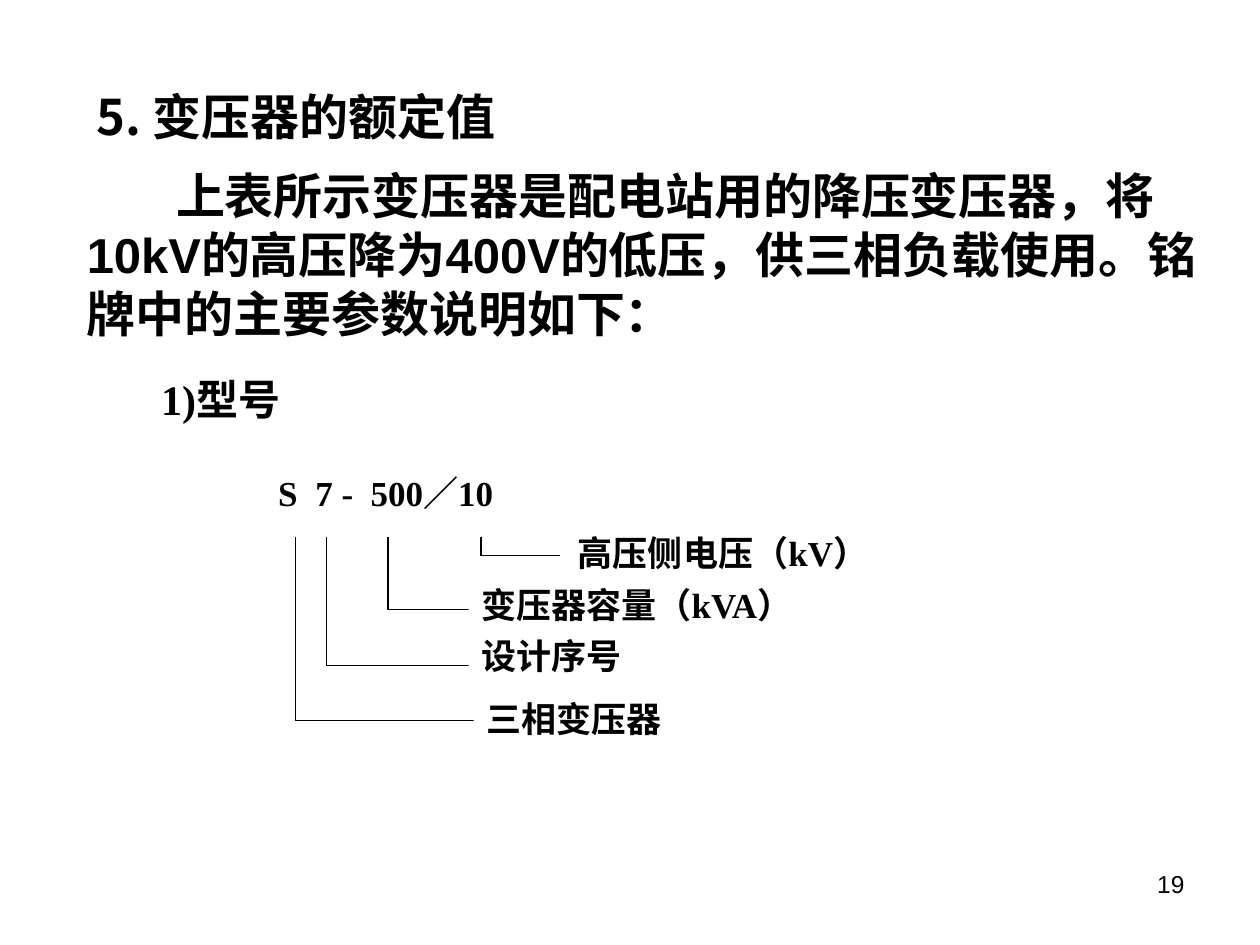
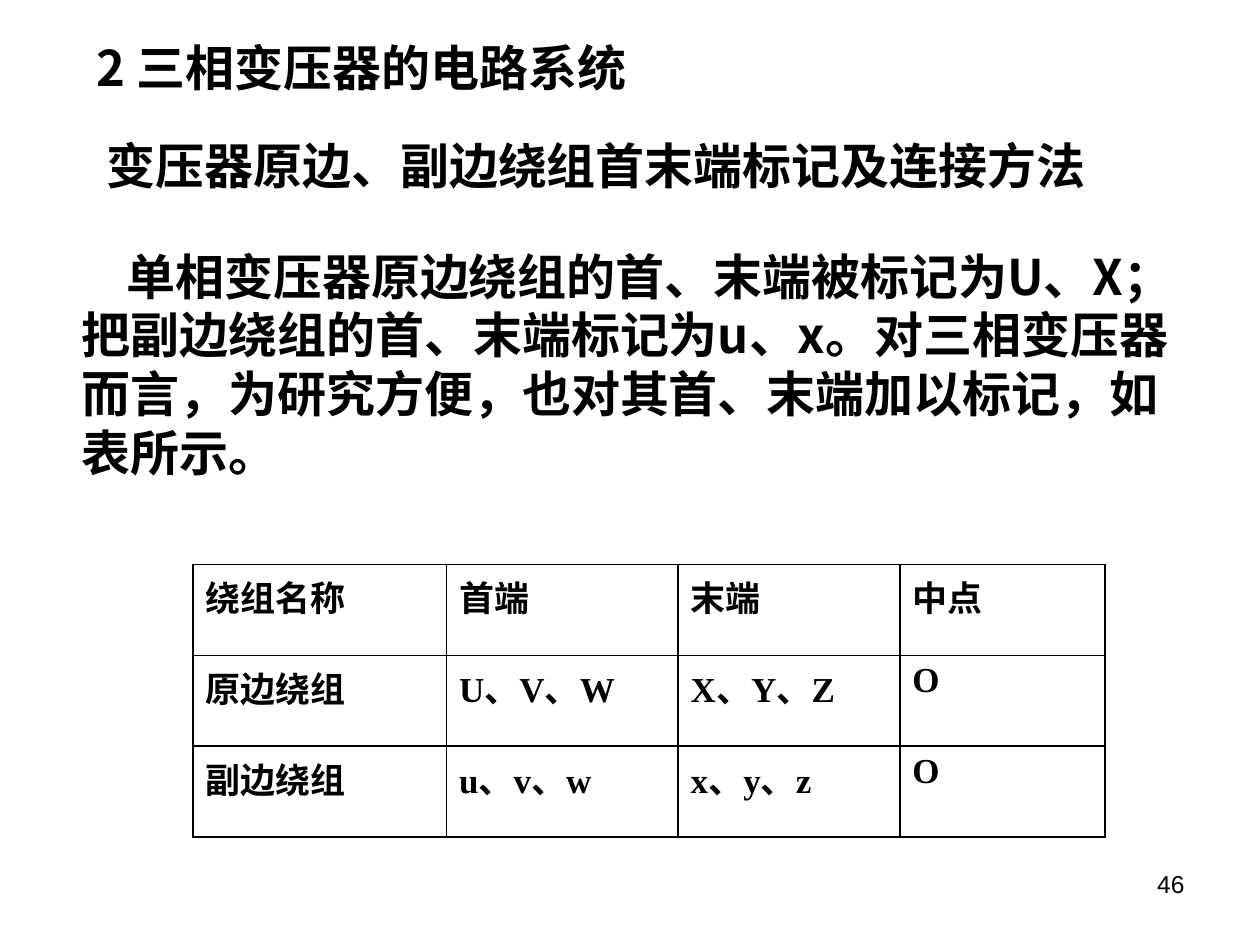
"""Build two slides on transformer ratings and winding terminal marks."""
from dataclasses import dataclass

from lxml import etree
from pptx import Presentation, util as u
from pptx.dml.color import RGBColor
from pptx.enum import lang, shapes, text
from pptx.oxml.ns import qn


@dataclass(frozen=True)
class Theme:
    ink: RGBColor = RGBColor(0, 0, 0)
    paper: RGBColor = RGBColor(255, 255, 255)
    cjk: str = "Noto Sans CJK SC"
    sans: str = "Arial"
    serif: str = "Times New Roman"
    heading: int = 28
    item: int = 24
    label: int = 20
    page: int = 14
    leading: float = 1.2
    drop: float = 0.09
    rule: float = 0.75
    border: float = 1


T = Theme()


@dataclass(frozen=True)
class Box:
    words: str
    left: float
    top: float
    width: float
    height: float
    size: int = T.heading
    font: str = T.cjk
    bold: bool = True
    filled: bool = False
    inset: float = 0.25
    indent: float = 0
    align: text.PP_ALIGN = text.PP_ALIGN.LEFT
    anchor: text.MSO_ANCHOR = text.MSO_ANCHOR.TOP
    tabs: tuple[float, ...] = ()


@dataclass(frozen=True)
class Branch:
    x: float
    y: float
    label: Box


def add_run(p, words: str, size: int, font: str, bold: bool = True) -> None:
    r = p.add_run()
    r.text = words
    r.font.size = u.Pt(size)
    r.font.bold = bold
    r.font.name = font
    r.font.color.rgb = T.ink
    r.font.language_id = lang.MSO_LANGUAGE_ID.SIMPLIFIED_CHINESE
    etree.SubElement(r.font._element, qn("a:ea"), typeface=T.cjk)


def fill_box(sp, box: Box) -> None:
    sp.left, sp.top = u.Cm(box.left), u.Cm(box.top)
    sp.width, sp.height = u.Cm(box.width), u.Cm(box.height)
    if box.filled:
        sp.fill.solid()
        sp.fill.fore_color.rgb = T.paper
    tf = sp.text_frame
    tf.word_wrap = True
    tf.auto_size = text.MSO_AUTO_SIZE.NONE
    tf.vertical_anchor = box.anchor
    drop = u.Pt(box.size * T.drop)
    tf.margin_left, tf.margin_right = u.Cm(box.inset), u.Cm(0.25)
    tf.margin_top, tf.margin_bottom = u.Cm(0.13) + drop, u.Cm(0.13) - drop
    p = tf.paragraphs[0]
    p.alignment = box.align
    p.line_spacing = u.Pt(box.size * T.leading)
    p.space_before = u.Pt(0)
    pPr = p._p.get_or_add_pPr()
    if box.indent:
        pPr.set("indent", str(u.Cm(box.indent)))
    if box.tabs:
        stops = etree.SubElement(pPr, qn("a:tabLst"))
        for pos in box.tabs:
            etree.SubElement(stops, qn("a:tab"), pos=str(u.Cm(pos)), algn="l")
    add_run(p, box.words, box.size, box.font, box.bold)


def add_box(s, box: Box) -> None:
    fill_box(s.shapes.add_textbox(0, 0, 0, 0), box)


def add_line(s, x1: float, y1: float, x2: float, y2: float) -> None:
    line = s.shapes.add_connector(
        shapes.MSO_CONNECTOR.STRAIGHT, u.Cm(x1), u.Cm(y1), u.Cm(x2), u.Cm(y2))
    line.line.color.rgb = T.ink
    line.line.width = u.Pt(T.rule)
    etree.SubElement(line._element.spPr, qn("a:effectLst"))


def add_slide(prs, title: Box, page: str):
    s = prs.slides.add_slide(prs.slide_layouts[5])
    fill_box(s.shapes.title, title)
    add_box(s, Box(page, 18.21, 17.35, 5.92, 1.32, T.page, T.sans, False,
                   align=text.PP_ALIGN.RIGHT))
    return s


def add_branches(s, branches: list[Branch], top: float, end: float) -> None:
    for b in branches:
        add_line(s, b.x, top, b.x, b.y)
        add_line(s, b.x, b.y, end, b.y)
    for b in branches:
        add_box(s, b.label)


def label(words: str, left: float, top: float, width: float = 7.49) -> Box:
    return Box(words, left, top, width, 1.12, T.label, T.serif, filled=True)


def format_cell(cell, words: str) -> None:
    cell.fill.solid()
    cell.fill.fore_color.rgb = T.paper
    add_run(cell.text_frame.paragraphs[0], words, T.label, T.serif)
    tcPr = cell._tc.get_or_add_tcPr()
    for i, side in enumerate(("lnL", "lnR", "lnT", "lnB")):
        ln = etree.Element(qn(f"a:{side}"), w=str(u.Pt(T.border)))
        solid = etree.SubElement(ln, qn("a:solidFill"))
        etree.SubElement(solid, qn("a:srgbClr"), val=str(T.ink))
        tcPr.insert(i, ln)


def add_grid(s, rows: list[list[str]], left: float, top: float,
             widths: list[float], row_height: float) -> None:
    frame = s.shapes.add_table(len(rows), len(widths), u.Cm(left), u.Cm(top),
                               u.Cm(sum(widths)), u.Cm(row_height * len(rows)))
    table = frame.table
    table.first_row = table.horz_banding = False
    for col, width in zip(table.columns, widths):
        col.width = u.Cm(width)
    for row, words in zip(table.rows, rows):
        row.height = u.Cm(row_height)
        for cell, word in zip(row.cells, words):
            format_cell(cell, word)


def build_ratings(prs) -> None:
    s = add_slide(prs, Box("5. 变压器的额定值", 1.7, 1.52, 13.2, 1.45), "19")
    add_box(s, Box("上表所示变压器是配电站用的降压变压器，将10kV的高压降为400V的低压，"
                   "供三相负载使用。铭牌中的主要参数说明如下：",
                   1.5, 3.12, 23.01, 3.81, font=T.sans, indent=1.8,
                   anchor=text.MSO_ANCHOR.MIDDLE))
    add_box(s, Box("1)型号", 2.69, 7.32, 3.99, 1.27, T.item, T.serif, inset=0.56))
    add_box(s, Box("S\t7 -\t500／10", 3.91, 9.32, 9.86, 1.85, T.label, T.serif,
                   filled=True, inset=1.7, tabs=(0.75, 1.86)))
    add_branches(s, [
        Branch(9.7, 11.2, label("高压侧电压（kV）", 11.4, 10.52)),
        Branch(7.82, 12.29, label("变压器容量（kVA）", 9.45, 11.58, 8.43)),
        Branch(6.58, 13.41, label("设计序号", 9.45, 12.6)),
        Branch(5.95, 14.53, label("三相变压器", 9.55, 13.87)),
    ], top=10.82, end=11.28)


def build_windings(prs) -> None:
    s = add_slide(prs, Box("2 三相变压器的电路系统", 1.7, 0.53, 11.99, 1.45), "46")
    add_box(s, Box("变压器原边、副边绕组首末端标记及连接方法", 1.9, 2.51, 20.6, 1.45))
    add_box(s, Box("单相变压器原边绕组的首、末端被标记为U、X；把副边绕组的首、末端标记为u、x。"
                   "对三相变压器而言，为研究方便，也对其首、末端加以标记，如表所示。",
                   1.4, 4.72, 23.01, 5.05, indent=0.9,
                   anchor=text.MSO_ANCHOR.MIDDLE))
    add_grid(s, [
        ["绕组名称", "首端", "末端", "中点"],
        ["原边绕组", "U、V、W", "X、Y、Z", "O"],
        ["副边绕组", "u、v、w", "x、y、z", "O"],
    ], 3.89, 11.38, [5.11, 4.67, 4.47, 4.14], 1.83)


def main() -> None:
    prs = Presentation()
    prs.slide_width, prs.slide_height = u.Cm(25.4), u.Cm(19.05)
    build_ratings(prs)
    build_windings(prs)
    prs.save("out.pptx")


if __name__ == "__main__":
    main()
